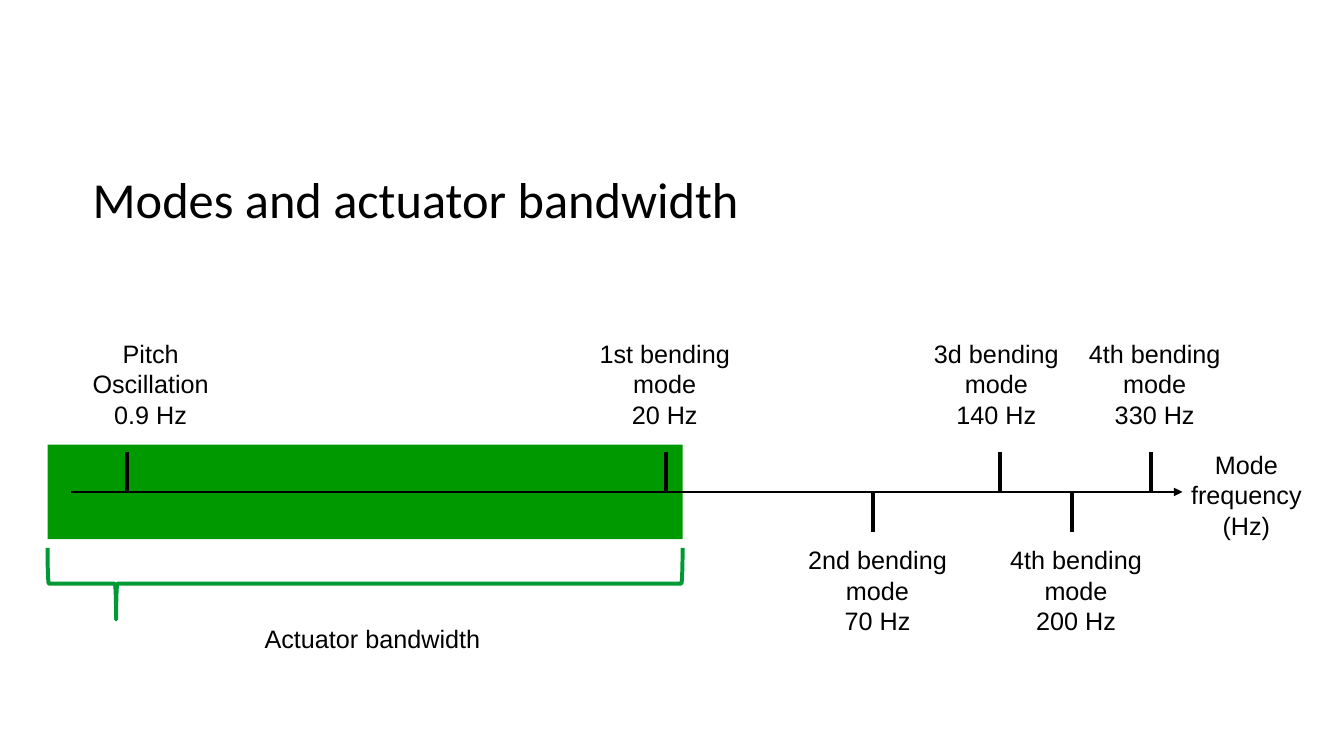
"""Build the slide that sets vibration modes against the actuator bandwidth."""
from dataclasses import dataclass

from lxml.etree import SubElement
from pptx import Presentation
from pptx.dml.color import RGBColor as Rgb
from pptx.enum.shapes import MSO_CONNECTOR as Link, MSO_SHAPE as Preset
from pptx.enum.text import MSO_ANCHOR as Anchor, PP_ALIGN as Align
from pptx.oxml.ns import qn
from pptx.util import Pt


@dataclass(frozen=True)
class Theme:
    ink: Rgb = Rgb.from_string("000000")
    band: Rgb = Rgb.from_string("009900")
    brace: Rgb = Rgb.from_string("009933")
    title_font: str = "Calibri"
    label_font: str = "Arial"
    title_size: int = 36
    label_size: int = 18
    hairline: float = 0
    stroke: float = 2.83


def assign(target, values):
    for key, value in values.items():
        setattr(target, key, value)


class Diagram:
    def __init__(self, slide, theme):
        self.slide, self.shapes, self.theme = slide, slide.shapes, theme

    def fill_text(self, frame, lines, font, size, align):
        frame.text = "\n".join(lines)
        for paragraph in frame.paragraphs:
            paragraph.alignment = align
            assign(paragraph.font, {"name": font, "size": Pt(size)})
            paragraph.font.color.rgb = self.theme.ink

    def title(self, text, left, top, width, height):
        heading = self.shapes.title
        assign(heading, {"left": Pt(left), "top": Pt(top),
                         "width": Pt(width), "height": Pt(height)})
        assign(heading.text_frame, {
            "margin_left": 0, "margin_top": 0, "margin_right": 0, "margin_bottom": 0,
            "vertical_anchor": Anchor.MIDDLE, "word_wrap": True})
        self.fill_text(heading.text_frame, [text], self.theme.title_font,
                       self.theme.title_size, Align.LEFT)

    def label(self, lines, center, top, width, height):
        box = self.shapes.add_textbox(Pt(center - width / 2), Pt(top), Pt(width), Pt(height))
        box.text_frame.word_wrap = True
        self.fill_text(box.text_frame, lines, self.theme.label_font,
                       self.theme.label_size, Align.CENTER)

    def block(self, left, top, width, height):
        area = self.shapes.add_shape(Preset.RECTANGLE, *map(Pt, (left, top, width, height)))
        area.shadow.inherit = False
        area.fill.solid()
        area.fill.fore_color.rgb = self.theme.band
        area.line.fill.background()

    def brace_below(self, left, top, width, depth, curve, tip):
        brace = self.shapes.add_shape(
            Preset.LEFT_BRACE, Pt(left + (width - depth) / 2),
            Pt(top + (depth - width) / 2), Pt(depth), Pt(width))
        brace.rotation = 270
        brace.shadow.inherit = False
        brace.adjustments[0], brace.adjustments[1] = curve, tip
        brace.fill.background()
        brace.line.color.rgb = self.theme.brace
        brace.line.width = Pt(self.theme.stroke)

    def line(self, start, end, weight, arrow=False):
        stroke = self.shapes.add_connector(Link.STRAIGHT, *map(Pt, (*start, *end)))
        stroke.line.color.rgb = self.theme.ink
        stroke.line.width = Pt(weight)
        properties = stroke._element.spPr
        if arrow:
            SubElement(properties.find(qn("a:ln")), qn("a:tailEnd"), type="triangle")
        SubElement(properties, qn("a:effectLst"))


AXIS_Y, TICK = 351.4, 28.4
BAND_LEFT, BAND_WIDTH, BAND_HEIGHT = 34, 453.6, 67.7
LABEL_WIDTH, LABEL_HEIGHT = 136, 67.7
UPPER_LABELS, LOWER_LABELS = 238.3, 385.6
MODES = [
    ("Pitch Oscillation", "0.9 Hz", 90.7, 107.6, True),
    ("1st bending mode", "20 Hz", 476, 474.8, True),
    ("2nd bending mode", "70 Hz", 623.6, 626.8, False),
    ("3d bending mode", "140 Hz", 714.3, 711.7, True),
    ("4th bending mode", "200 Hz", 765.4, 768.6, False),
    ("4th bending mode", "330 Hz", 822, 824.8, True),
]

theme = Theme()
deck = Presentation()
assign(deck, {"slide_width": Pt(960), "slide_height": Pt(540)})
diagram = Diagram(deck.slides.add_slide(deck.slide_layouts[5]), theme)

diagram.title("Modes and actuator bandwidth", 66.2, 103, 828, 77.8)
diagram.block(BAND_LEFT, AXIS_Y - BAND_HEIGHT / 2, BAND_WIDTH, BAND_HEIGHT)
diagram.line((51, AXIS_Y), (844.6, AXIS_Y), theme.hairline, arrow=True)
diagram.label(["Mode frequency", "(Hz)"], 890.3, 317.5, LABEL_WIDTH, 81.4)
diagram.brace_below(BAND_LEFT, 391.3, BAND_WIDTH, 51.1, 0.018, 0.108)
diagram.label(["Actuator bandwidth"], 266, 442, 294.5, 27.4)

for mode, frequency, tick_x, label_x, above in MODES:
    tick_end = AXIS_Y - TICK if above else AXIS_Y + TICK
    diagram.line((tick_x, AXIS_Y), (tick_x, tick_end), theme.stroke)
    diagram.label([mode, frequency], label_x, UPPER_LABELS if above else LOWER_LABELS,
                  LABEL_WIDTH, LABEL_HEIGHT)

deck.save("out.pptx")
